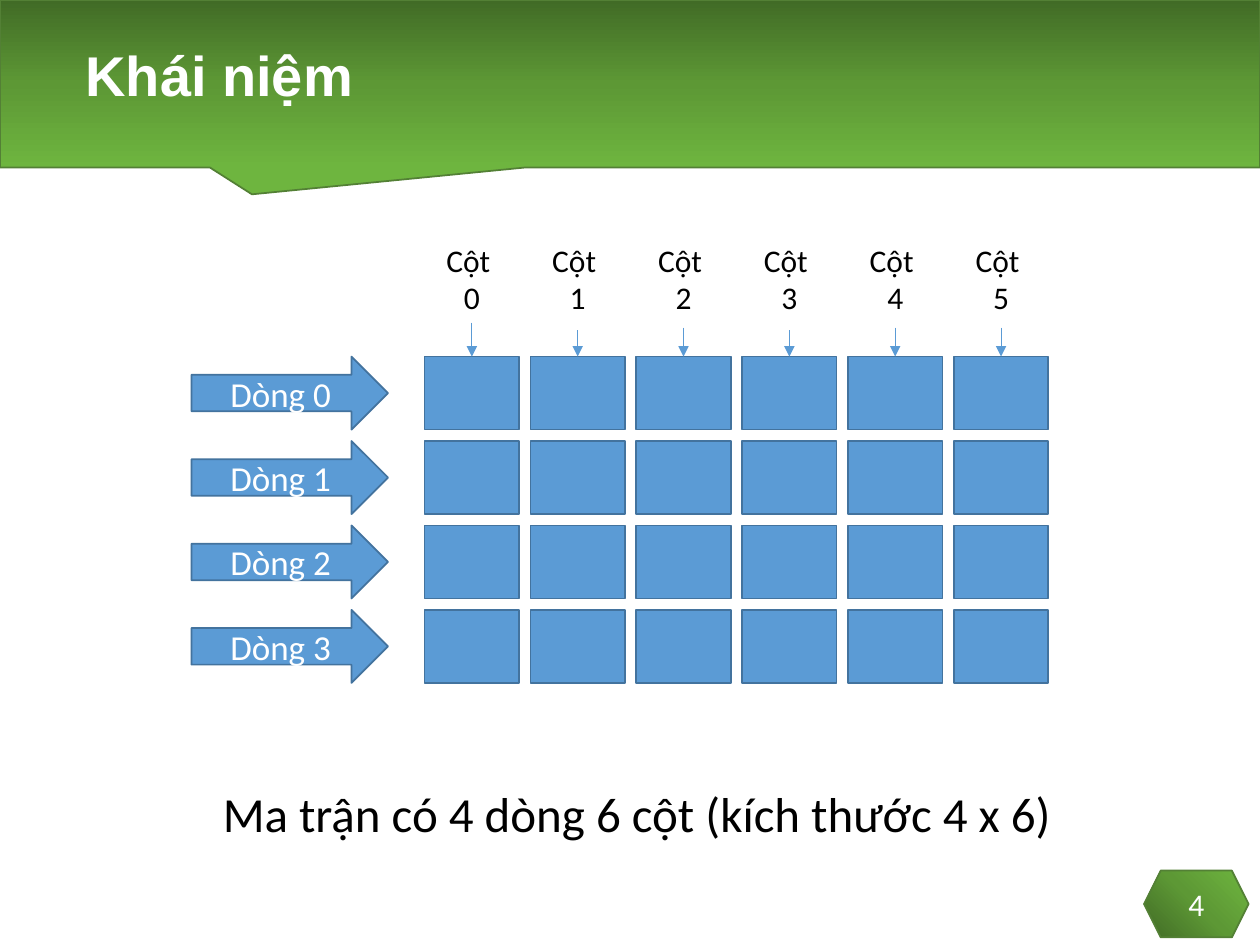
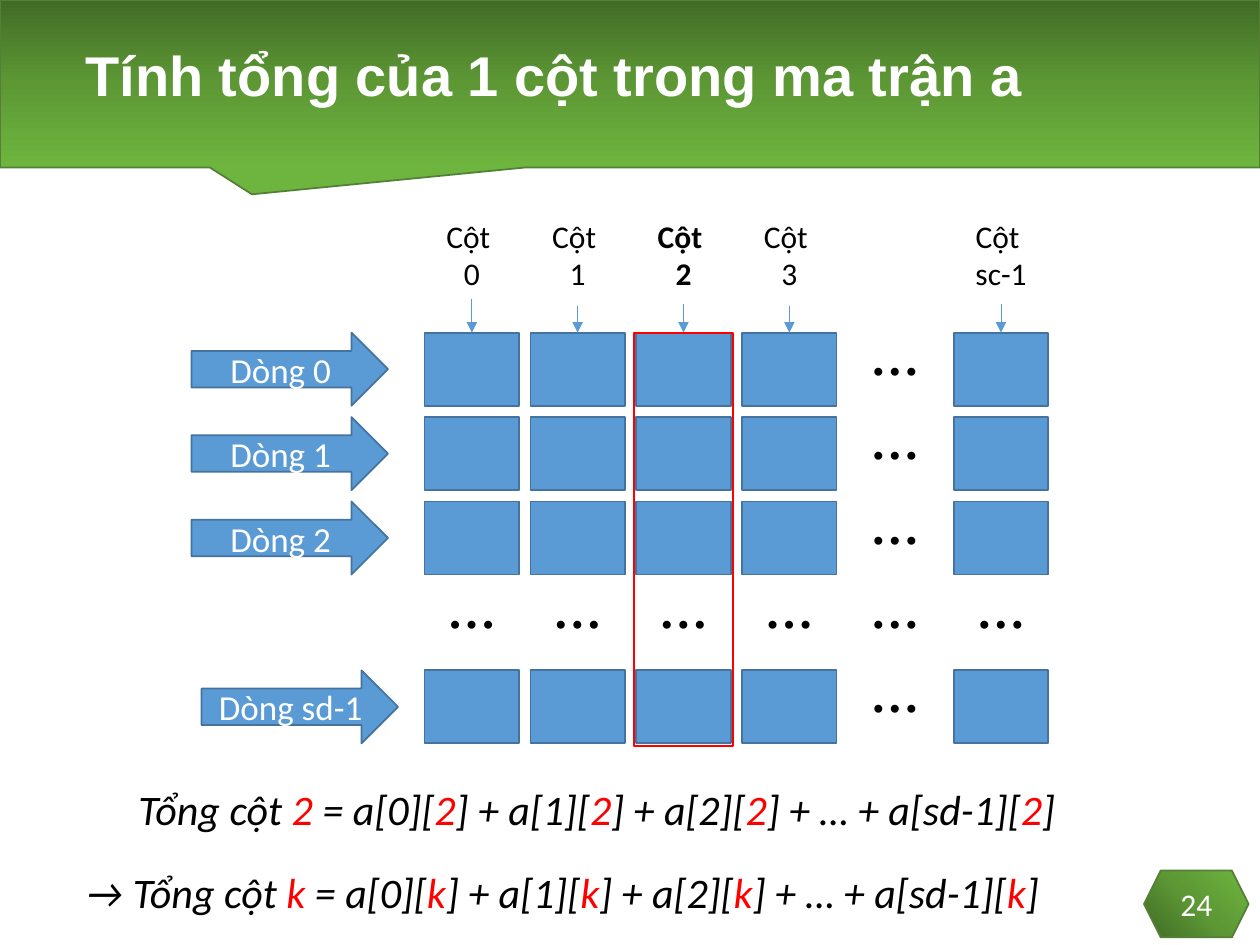
from pptx import Presentation
from pptx.dml.color import RGBColor
from pptx.enum.shapes import MSO_CONNECTOR, MSO_SHAPE
from pptx.enum.text import MSO_ANCHOR, MSO_AUTO_SIZE, PP_ALIGN
from pptx.oxml import parse_xml
from pptx.oxml.ns import nsdecls, qn
from pptx.oxml.xmlchemy import OxmlElement
from pptx.util import Inches, Pt

COLORS = {
    "white": "FFFFFF",
    "black": "000000",
    "red": "FF0000",
    "blue": "5B9BD5",
    "blue_edge": "43739E",
    "green_dark": "416B26",
    "green": "5D9835",
    "green_light": "6EB53F",
    "green_edge": "538035",
}
LINEAR = '<a:lin ang="5400000" scaled="0"/>'
FROM_CORNER = '<a:path path="circle"><a:fillToRect t="100000" r="100000"/></a:path>'

CELL_WIDTH, CELL_HEIGHT = 0.75, 0.58
COLUMN_STEP, ROW_STEP = 0.84, 0.67
GRID_LEFT = 3.37
ROW_ARROW_LEFT, ROW_ARROW_WIDTH = 1.52, 1.56
LABEL_WIDTH, LABEL_HEIGHT, LABEL_RISE = 0.68, 0.71, 0.97
POINTER_LENGTHS = [0.27, 0.21, 0.23, 0.21, 0.23, 0.23]
DOTS_WIDTH, DOTS_HEIGHT, DOTS_RISE = 0.59, 0.57, 0.1


def color(name):
    return RGBColor.from_string(COLORS[name])


def style_paragraph(para, size, tint="black", font="Calibri", bold=False, italic=False):
    para.font.size = Pt(size)
    para.font.name = font
    para.font.color.rgb = color(tint)
    para.font.bold = bold
    para.font.italic = italic


def add_text(page, box, lines, size, align=PP_ALIGN.LEFT, wrap=False, **style):
    label = page.shapes.add_textbox(*map(Inches, box))
    frame = label.text_frame
    frame.word_wrap = wrap
    frame.auto_size = MSO_AUTO_SIZE.SHAPE_TO_FIT_TEXT
    frame.text = "\n".join(lines)
    for para in frame.paragraphs:
        para.alignment = align
        style_paragraph(para, size, **style)
    return label


def add_figure(page, kind, box, fill=None, edge="blue_edge", text="", size=20):
    figure = page.shapes.add_shape(kind, *map(Inches, box))
    figure.shadow.inherit = False
    figure.line.color.rgb = color(edge)
    figure.line.width = Pt(1)
    if fill:
        figure.fill.solid()
        figure.fill.fore_color.rgb = color(fill)
    else:
        figure.fill.background()
    if text:
        figure.text_frame.text = text
        figure.text_frame.vertical_anchor = MSO_ANCHOR.MIDDLE
        para = figure.text_frame.paragraphs[0]
        para.alignment = PP_ALIGN.CENTER
        style_paragraph(para, size, "white")
    return figure


def fill_green_gradient(figure, direction):
    stops = "".join(
        f'<a:gs pos="{place * 50000}"><a:srgbClr val="{COLORS[name]}"/></a:gs>'
        for place, name in enumerate(["green_dark", "green", "green_light"])
    )
    gradient = parse_xml(
        f'<a:gradFill {nsdecls("a")} rotWithShape="1">'
        f"<a:gsLst>{stops}</a:gsLst>{direction}</a:gradFill>"
    )
    properties = figure.element.spPr
    properties.replace(properties.find(qn("a:noFill")), gradient)


def add_frame(page, title, number):
    band = add_figure(page, MSO_SHAPE.RECTANGULAR_CALLOUT, (0, 0, 10, 1.33), edge="green_edge")
    band.adjustments[0], band.adjustments[1] = -0.3, 0.66
    fill_green_gradient(band, LINEAR)
    badge = add_figure(
        page, MSO_SHAPE.HEXAGON, (9.08, 6.91, 0.83, 0.53), edge="green_edge", text=number, size=18
    )
    fill_green_gradient(badge, FROM_CORNER)
    heading = add_text(
        page, (0.58, 0.08, 8.83, 1.08), [title], 32, wrap=True, tint="white", font="Arial", bold=True
    )
    heading.text_frame.auto_size = MSO_AUTO_SIZE.NONE
    heading.text_frame.vertical_anchor = MSO_ANCHOR.MIDDLE
    heading.text_frame.paragraphs[0].line_spacing = 0.9


def column_left(column):
    return GRID_LEFT + column * COLUMN_STEP


def add_pointer(page, cell, length):
    center = cell.left + cell.width // 2
    pointer = page.shapes.add_connector(
        MSO_CONNECTOR.STRAIGHT, center, cell.top - Inches(length), center, cell.top
    )
    pointer.end_connect(cell, 0)
    pointer.line.color.rgb = color("blue")
    pointer.line.width = Pt(0.5)
    head = OxmlElement("a:tailEnd")
    head.set("type", "triangle")
    pointer.line._get_or_add_ln().append(head)
    pointer.element.spPr.append(OxmlElement("a:effectLst"))


def add_column_label(page, top, column, name, bold):
    left = column_left(column) + (CELL_WIDTH - LABEL_WIDTH) / 2
    box = (left, top - LABEL_RISE, LABEL_WIDTH, LABEL_HEIGHT)
    add_text(page, box, ["Cột ", name], 18, PP_ALIGN.CENTER, bold=bold)


def add_dots(page, left, top):
    box = (left + (CELL_WIDTH - DOTS_WIDTH) / 2, top - DOTS_RISE, DOTS_WIDTH, DOTS_HEIGHT)
    add_text(page, box, ["…"], 28, font="Times New Roman", bold=True)


def add_matrix(page, top, row_names, column_names, bold_column=None):
    for row, row_name in enumerate(row_names):
        row_top = top + row * ROW_STEP
        if row_name:
            shift = 0.08 if len(row_name) > 1 else 0
            box = (ROW_ARROW_LEFT + shift, row_top, ROW_ARROW_WIDTH, CELL_HEIGHT)
            add_figure(page, MSO_SHAPE.RIGHT_ARROW, box, "blue", text=f"Dòng {row_name}")
        for column, column_name in enumerate(column_names):
            left = column_left(column)
            if not (row_name and column_name):
                add_dots(page, left, row_top)
                continue
            box = (left, row_top, CELL_WIDTH, CELL_HEIGHT)
            cell = add_figure(page, MSO_SHAPE.RECTANGLE, box, "blue")
            if row == 0:
                add_column_label(page, top, column, column_name, column == bold_column)
                add_pointer(page, cell, POINTER_LENGTHS[column])


def add_column_outline(page, top, column, rows):
    margin = 0.02
    height = (rows - 1) * ROW_STEP + CELL_HEIGHT + margin
    box = (column_left(column) - margin, top, CELL_WIDTH + 2 * margin, height)
    add_figure(page, MSO_SHAPE.RECTANGLE, box, edge="red")


def add_column_sum(page, box, lead, index, wrap=False):
    formula = add_text(page, box, [""], 24, wrap=wrap, italic=True)
    para = formula.text_frame.paragraphs[0]
    pieces = [f"{lead}Tổng cột ", " = a[0][", "] + a[1][", "] + a[2][", "] + … + a[sd-1][", "]"]
    for position, piece in enumerate(pieces):
        if position:
            span = para.add_run()
            span.text = index
            span.font.color.rgb = color("red")
        span = para.add_run()
        span.text = piece


def build_concept(page):
    add_frame(page, "Khái niệm", "4")
    add_matrix(page, 2.83, list("0123"), list("012345"))
    add_text(page, (1.67, 6.17, 7.54, 0.57), ["Ma trận có 4 dòng 6 cột (kích thước 4 x 6)"], 28)


def build_column_sum(page):
    top, column = 2.64, 2
    row_names = ["0", "1", "2", None, "sd-1"]
    add_frame(page, "Tính tổng của 1 cột trong ma trận a", "24")
    add_matrix(page, top, row_names, ["0", "1", "2", "3", None, "sc-1"], column)
    add_column_outline(page, top, column, len(row_names))
    add_column_sum(page, (1, 6.17, 8.34, 0.5), "", "2")
    add_column_sum(page, (0.58, 6.83, 9.31, 0.5), "→ ", "k", wrap=True)


def main():
    deck = Presentation()
    deck.slide_width, deck.slide_height = Inches(10), Inches(7.5)
    for build in (build_concept, build_column_sum):
        build(deck.slides.add_slide(deck.slide_layouts[6]))
    deck.save("out.pptx")


if __name__ == "__main__":
    main()
